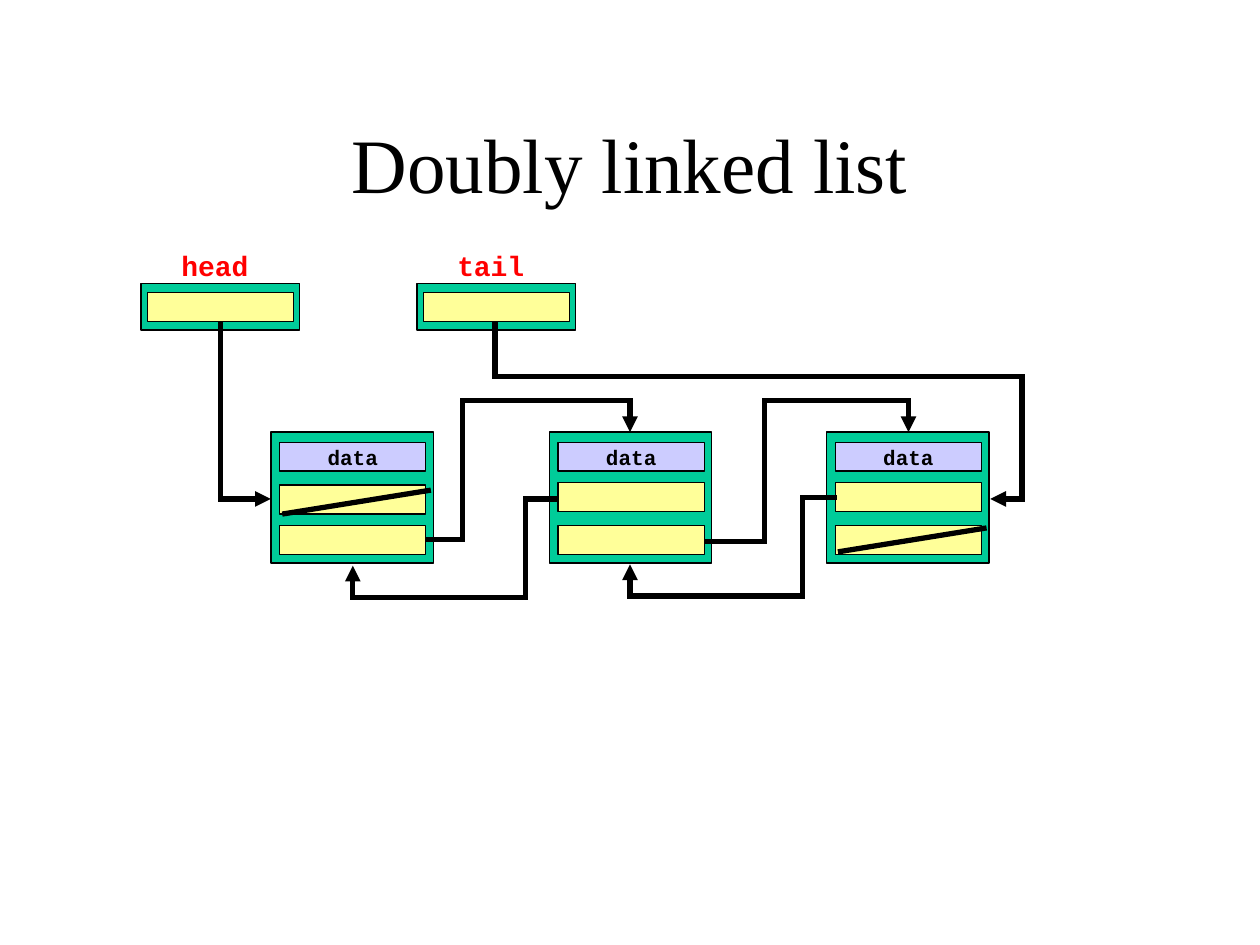
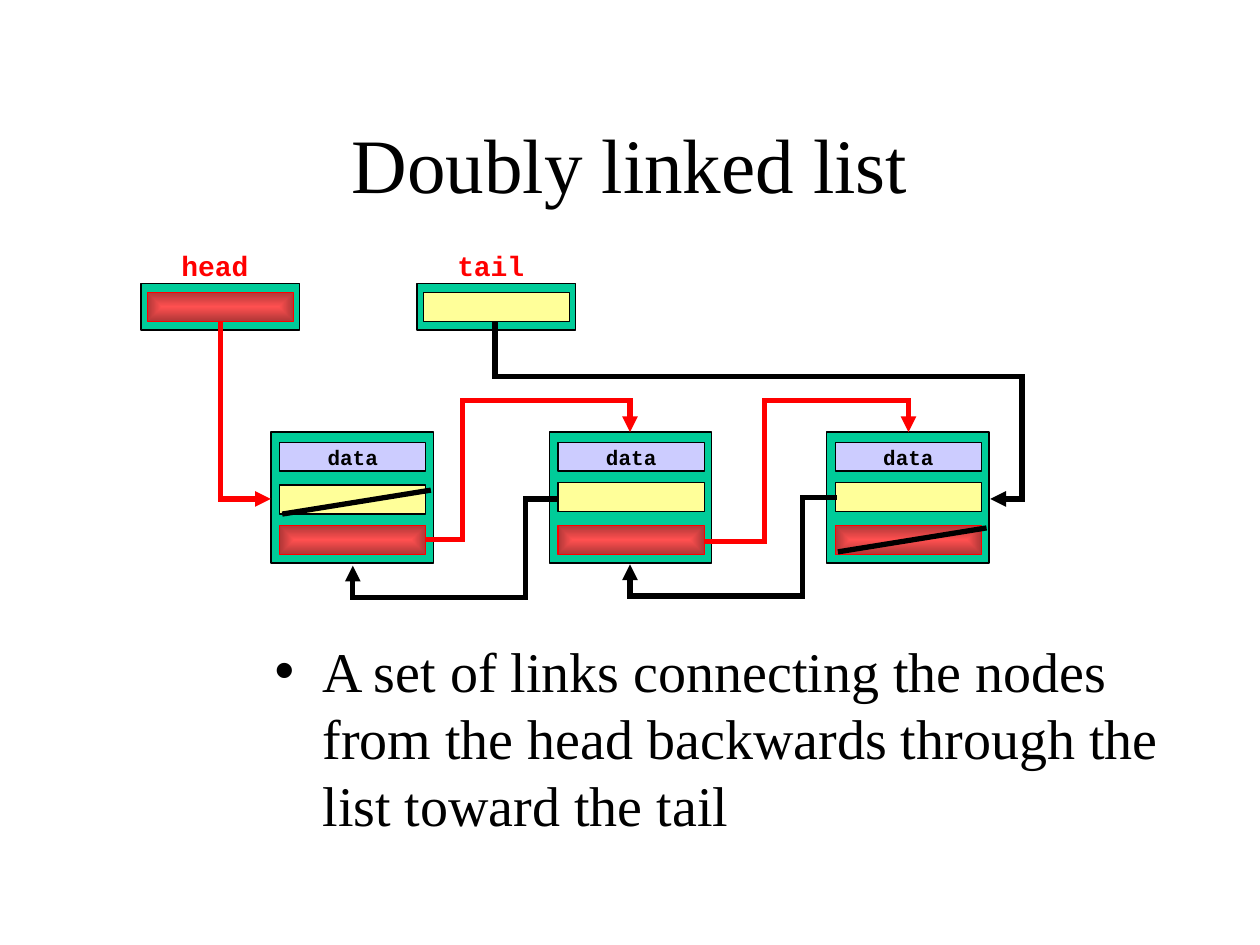
from dataclasses import dataclass
from typing import Optional

from lxml.etree import SubElement
from pptx import Presentation
from pptx.dml.color import RGBColor
from pptx.enum.shapes import MSO_CONNECTOR, MSO_SHAPE
from pptx.enum.text import MSO_ANCHOR, MSO_AUTO_SIZE, PP_ALIGN
from pptx.oxml.ns import qn
from pptx.util import Emu, Pt

PIXEL = 9144
COLORS = {
    "ink": "000000",
    "frame": "00CC99",
    "link": "FFFF99",
    "data": "CCCCFF",
    "red": "FF0000",
    "glow": "FF5050",
    "glow_edge": "B03737",
}
CODE_FONT = "Courier New"
TEXT_FONT = "Times New Roman"
TITLE = "Doubly linked list"
FORWARD_TEXT = (
    "A set of links connecting the nodes from the head backwards "
    "through the list toward the tail"
)
CELL_WIDTH, CELL_HEIGHT = 116, 23
NODE_TOP = 343
EXITS = {"right": (0, "flipV"), "left": (180, "flipV"), "down": (270, "flipH")}


@dataclass(frozen=True)
class Node:
    left: int
    previous_top: int


@dataclass(frozen=True)
class Pointer:
    name: str
    left: int
    forward: bool


@dataclass(frozen=True)
class Link:
    start: tuple[int, int]
    end: tuple[int, int]
    leaves: str
    turn: Optional[tuple[int, int]] = None
    forward: bool = False


NODES = (Node(215, 385), Node(436, 383), Node(656, 383))
POINTERS = (Pointer("head", 112, True), Pointer("tail", 331, False))
LINKS = (
    Link((175, 255), (215, 396), "down", forward=True),
    Link((338, 428), (500, 343), "right", (367, 318), forward=True),
    Link((559, 430), (721, 343), "right", (607, 318), forward=True),
    Link((393, 255), (786, 396), "down", (811, 299)),
    Link((664, 395), (500, 448), "left", (637, 473)),
    Link((443, 396), (280, 449), "left", (417, 474)),
)
NULL_STROKES = (((224, 408), (342, 389)), ((665, 438), (783, 419)))


def px(value: float) -> Emu:
    return Emu(round(value * PIXEL))


def color(name: str) -> RGBColor:
    return RGBColor.from_string(COLORS[name])


def place(shape, left: int, top: int, width: int, height: int) -> None:
    shape.left, shape.top, shape.width, shape.height = map(px, (left, top, width, height))


def format_text(paragraph, font_name: str, size: int, ink: str = "ink",
                bold: bool = False, align=PP_ALIGN.CENTER) -> None:
    paragraph.alignment = align
    paragraph.space_before = Pt(0)
    for run in paragraph.runs:
        run.font.name = font_name
        run.font.size = Pt(size)
        run.font.bold = bold
        run.font.color.rgb = color(ink)


def add_box(slide, left: int, top: int, width: int, height: int, fill: str):
    shape = slide.shapes.add_shape(
        MSO_SHAPE.RECTANGLE, *map(px, (left, top, width, height)))
    shape.shadow.inherit = False
    shape.line.width = Pt(0.75)
    shape.line.color.rgb = color("ink")
    shape.fill.solid()
    shape.fill.fore_color.rgb = color(fill)
    return shape


def add_cell(slide, left: int, top: int, fill: str = "link", glowing: bool = False):
    cell = add_box(slide, left, top, CELL_WIDTH, CELL_HEIGHT, fill)
    if glowing:
        cell.line.color.rgb = color("red")
        cell.fill.gradient()
        for stop, name, position in zip(
                cell.fill.gradient_stops, ("glow", "glow_edge"), (0, 1)):
            stop.color.rgb = color(name)
            stop.position = position
        gradient = cell._element.spPr.find(qn("a:gradFill"))
        gradient.remove(gradient.find(qn("a:lin")))
        shading = SubElement(gradient, qn("a:path"), {"path": "rect"})
        SubElement(shading, qn("a:fillToRect"), dict.fromkeys("ltrb", "50000"))
    return cell


def add_node(slide, node: Node, highlighted: bool) -> None:
    add_box(slide, node.left, NODE_TOP, 129, 104, "frame")
    cell_left = node.left + 7
    data = add_cell(slide, cell_left, NODE_TOP + 8, "data")
    data.text_frame.text = "data"
    data.text_frame.word_wrap = False
    data.text_frame.vertical_anchor = MSO_ANCHOR.MIDDLE
    format_text(data.text_frame.paragraphs[0], CODE_FONT, 12, bold=True)
    add_cell(slide, cell_left, node.previous_top)
    add_cell(slide, cell_left, NODE_TOP + 74, glowing=highlighted)


def add_pointer(slide, pointer: Pointer, highlighted: bool) -> None:
    add_box(slide, pointer.left, 225, 126, 37, "frame")
    add_cell(slide, pointer.left + 5, 232, glowing=highlighted and pointer.forward)
    label = slide.shapes.add_textbox(*map(px, (pointer.left - 6, 192, 129, 37)))
    label.text_frame.text = pointer.name
    label.text_frame.word_wrap = True
    label.text_frame.auto_size = MSO_AUTO_SIZE.SHAPE_TO_FIT_TEXT
    format_text(label.text_frame.paragraphs[0], CODE_FONT, 16, "red", bold=True)


def add_line(slide, kind, start: tuple[float, float], end: tuple[float, float],
             ink: str = "ink"):
    connector = slide.shapes.add_connector(kind, *map(px, (*start, *end)))
    connector.line.width = Pt(3)
    connector.line.color.rgb = color(ink)
    SubElement(connector._element.spPr, qn("a:effectLst"))
    return connector


def add_link(slide, link: Link, highlighted: bool) -> None:
    (start_x, start_y), (end_x, end_y) = link.start, link.end
    across, down = end_x - start_x, end_y - start_y
    width, height = abs(across), abs(down)
    if link.leaves == "down":
        width, height = height, width
    left = (start_x + end_x - width) / 2
    top = (start_y + end_y - height) / 2
    connector = add_line(
        slide, MSO_CONNECTOR.ELBOW, (left, top), (left + width, top + height),
        "red" if highlighted and link.forward else "ink")

    properties = connector._element.spPr
    rotation, flip = EXITS[link.leaves]
    transform = properties.find(qn("a:xfrm"))
    transform.set("rot", str(rotation * 60000))
    transform.set(flip, "1")
    geometry = properties.find(qn("a:prstGeom"))
    geometry.set("prst", "bentConnector4" if link.turn else "bentConnector2")
    if link.turn:
        ratios = [(link.turn[0] - start_x) / across, (link.turn[1] - start_y) / down]
        if link.leaves == "down":
            ratios.reverse()
        adjustments = geometry.find(qn("a:avLst"))
        for number, ratio in enumerate(ratios, 1):
            SubElement(adjustments, qn("a:gd"),
                       {"name": f"adj{number}", "fmla": f"val {round(ratio * 100000)}"})
    outline = properties.find(qn("a:ln"))
    SubElement(outline, qn("a:miter"), {"lim": "800000"})
    SubElement(outline, qn("a:tailEnd"), {"type": "triangle"})


def add_title(slide) -> None:
    title = slide.shapes.title
    place(title, 75, 67, 850, 125)
    title.text_frame.text = TITLE
    title.text_frame.vertical_anchor = MSO_ANCHOR.MIDDLE
    title.text_frame.auto_size = MSO_AUTO_SIZE.NONE
    format_text(title.text_frame.paragraphs[0], TEXT_FONT, 44)


def add_explanation(slide, text: str) -> None:
    body = slide.placeholders[1]
    place(body, 208, 500, 752, 208)
    body.text_frame.text = text
    body.text_frame.auto_size = MSO_AUTO_SIZE.NONE
    paragraph = body.text_frame.paragraphs[0]
    format_text(paragraph, TEXT_FONT, 32, align=PP_ALIGN.LEFT)
    properties = paragraph._p.get_or_add_pPr()
    properties.set("marL", str(px(38)))
    properties.set("indent", str(px(-38)))
    bullet_color = SubElement(properties, qn("a:buClr"))
    SubElement(bullet_color, qn("a:srgbClr"), {"val": COLORS["ink"]})
    SubElement(properties, qn("a:buChar"), {"char": "•"})


def add_list_slide(presentation, explanation: str = "") -> None:
    highlighted = bool(explanation)
    layout = presentation.slide_layouts[1 if explanation else 5]
    slide = presentation.slides.add_slide(layout)
    add_title(slide)
    if explanation:
        add_explanation(slide, explanation)
    for node in NODES:
        add_node(slide, node, highlighted)
    for pointer in POINTERS:
        add_pointer(slide, pointer, highlighted)
    for link in LINKS:
        add_link(slide, link, highlighted)
    for start, end in NULL_STROKES:
        add_line(slide, MSO_CONNECTOR.STRAIGHT, start, end)


def main() -> None:
    presentation = Presentation()
    presentation.slide_width = px(1000)
    presentation.slide_height = px(750)
    add_list_slide(presentation)
    add_list_slide(presentation, FORWARD_TEXT)
    presentation.save("out.pptx")


if __name__ == "__main__":
    main()
